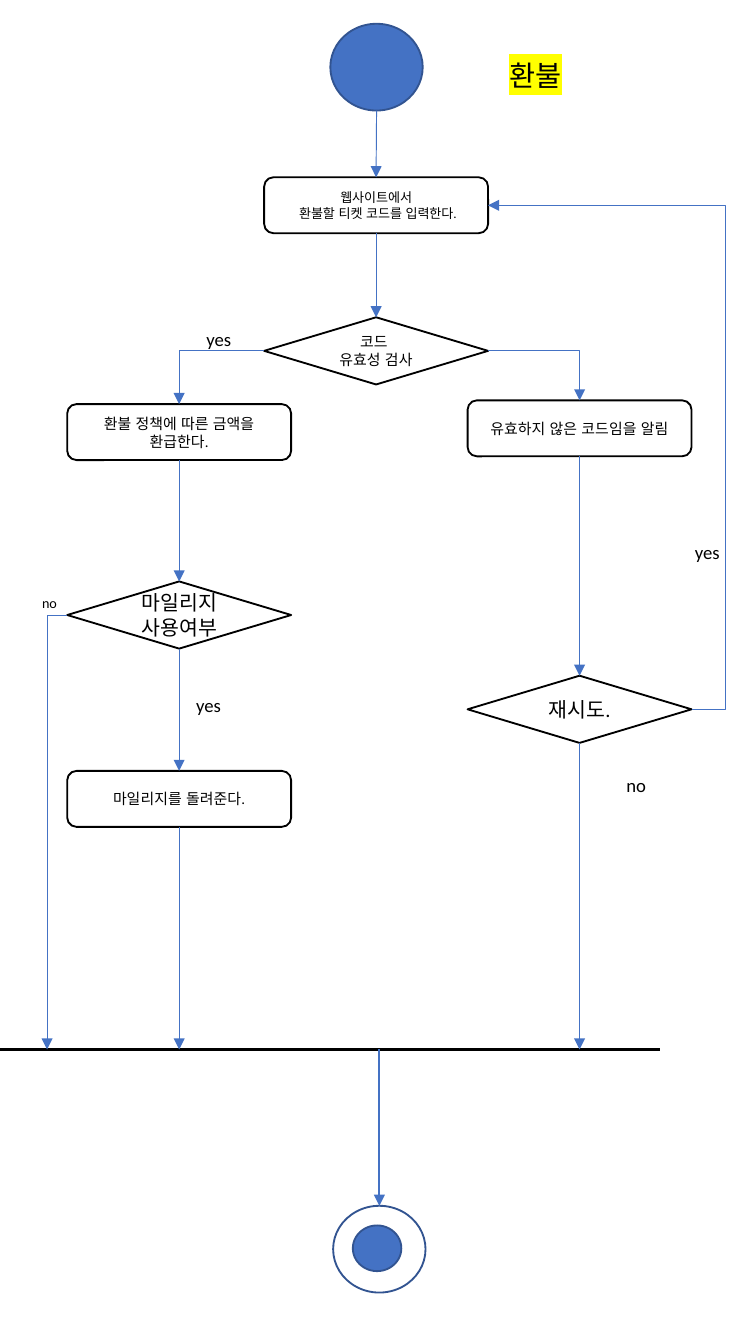
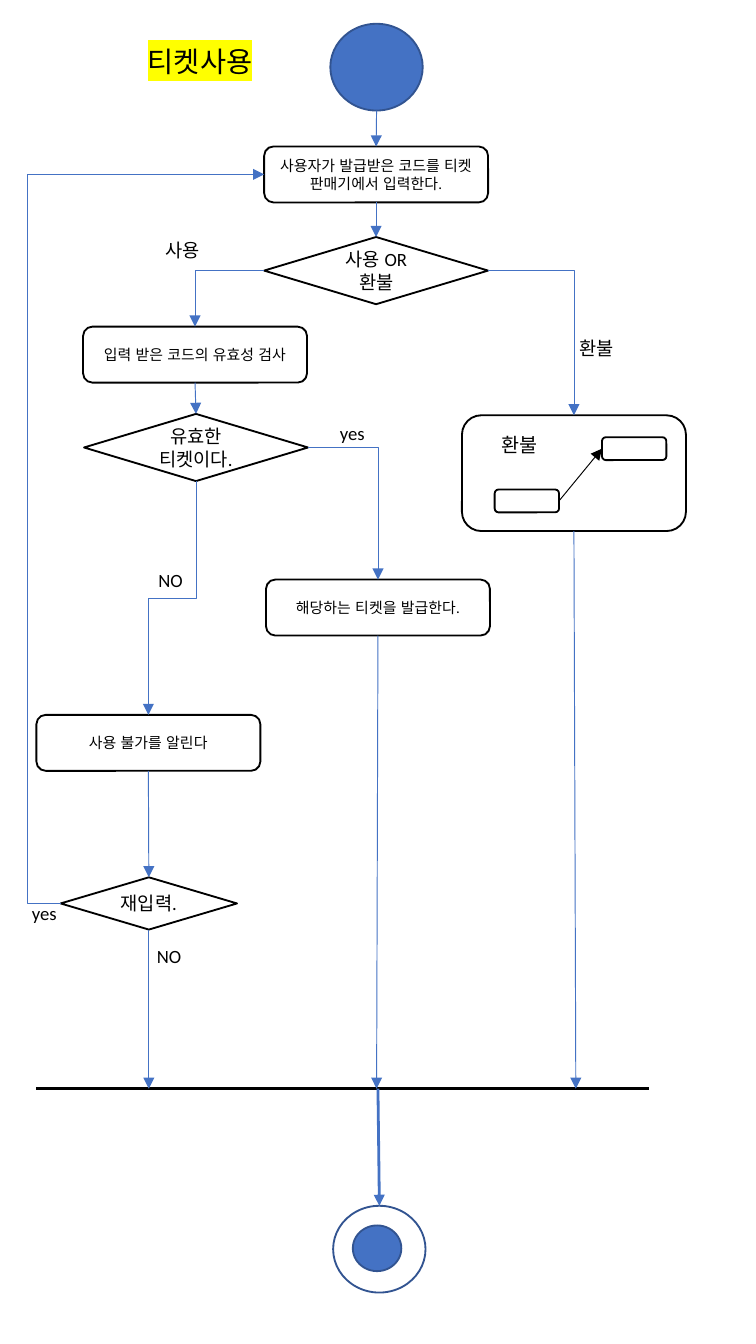
from lxml import etree
from pptx import Presentation
from pptx import util as u
from pptx.dml.color import RGBColor
from pptx.enum import lang, shapes, text
from pptx.oxml.ns import qn

Pt = u.Pt
COLORS = {"blue": "4472C4", "navy": "325491", "black": "000000",
          "white": "FFFFFF", "yellow": "FFFF00"}
FONT = "Calibri"
SLIDE_SIZE = (405, 720)
SIDES = ["top", "left", "bottom", "right"]  # order of the connection sites
ELBOW_OUT = -0.165  # a loop's bend lies outside its two ends

# kind: preset shape, width, height, fill, line
KINDS = {
    "step": (shapes.MSO_SHAPE.ROUNDED_RECTANGLE, 120, 30, "white", "black"),
    "choice": (shapes.MSO_SHAPE.FLOWCHART_DECISION, 120, 36, "white", "black"),
    "small choice": (shapes.MSO_SHAPE.FLOWCHART_DECISION, 94.5, 28, "white", "black"),
    "frame": (shapes.MSO_SHAPE.ROUNDED_RECTANGLE, 120, 62, "white", "black"),
    "mini step": (shapes.MSO_SHAPE.ROUNDED_RECTANGLE, 34.5, 12.25, "white", "black"),
    "start": (shapes.MSO_SHAPE.OVAL, 49.5, 46.5, "blue", "navy"),
    "ring": (shapes.MSO_SHAPE.OVAL, 49.5, 46.5, "white", "navy"),
    "core": (shapes.MSO_SHAPE.OVAL, 26, 24.5, "blue", "navy"),
}

# name: kind, left, top, words, size
TERMINALS = {
    "start": ("start", 177, 12.75, "", 8),
    "end": ("ring", 178.5, 646, "", 8),
    "core": ("core", 189, 656.5, "", 8),
}

# Arrows are (from, to, route); an end is (node, side) or an x on the bar.
# Labels are (words, left, top, width, height, size).
FLOWS = [
    {
        "title": ("환불", 265.75, 27.5, 45.5, 26),
        "bar": (0, 353.5, 562.25),
        "nodes": {
            "enter": ("step", 141.5, 95, "웹사이트에서\n 환불할 티켓 코드를 입력한다.", 7),
            "check": ("choice", 141.5, 170, "코드 \n유효성 검사", 8),
            "invalid": ("step", 250.5, 214.5, "유효하지 않은 코드임을 알림", 8),
            "refund": ("step", 36, 216.5, "환불 정책에 따른 금액을 환급한다.", 8),
            "mileage": ("choice", 36, 311.5, "마일리지 사용여부", 11),
            "give back": ("step", 36, 413, "마일리지를 돌려준다.", 8),
            "retry": ("choice", 250.5, 362, "재시도.", 11),
        },
        "arrows": [
            (("start", "bottom"), ("enter", "top"), "straight"),
            (("enter", "bottom"), ("check", "top"), "straight"),
            (("check", "left"), ("refund", "top"), "corner"),
            (("check", "right"), ("invalid", "top"), "corner"),
            (("refund", "bottom"), ("mileage", "top"), "straight"),
            (("mileage", "bottom"), ("give back", "top"), "straight"),
            (("mileage", "left"), 25.25, "corner"),
            (("give back", "bottom"), 96, "straight"),
            (("invalid", "bottom"), ("retry", "top"), "straight"),
            (("retry", "right"), ("enter", "right"), "loop"),
            (("retry", "bottom"), 310.5, "straight"),
        ],
        "exit": (203.25, 1),
        "labels": [
            ("yes", 103.5, 172.25, 28, 19.5, 10),
            ("no", 328.5, 411, 25, 19.5, 10),
            (" no", 13.75, 314.75, 26, 16.5, 7.6),
            ("yes", 365.25, 286, 28, 19.5, 10),
            ("yes", 98, 368, 28, 19.5, 10),
        ],
    },
    {
        "title": ("티켓사용", 72, 20, 76, 26),
        "bar": (19.5, 347.75, 583.25),
        "nodes": {
            "enter": ("step", 141.5, 78.5, "사용자가 발급받은 코드를 티켓 판매기에서 입력한다.", 8),
            "purpose": ("choice", 141.5, 127, "사용 OR 환불", 10),
            "check": ("step", 44.5, 175, "입력 받은 코드의 유효성 검사", 8),
            "valid": ("choice", 45, 221.75, "유효한 티켓이다.", 10),
            "issue": ("step", 142.5, 310.5, "해당하는 티켓을 발급한다.", 8),
            "refuse": ("step", 19.5, 383, "사용 불가를 알린다", 8),
            "retry": ("small choice", 32.5, 470, "재입력.", 10),
        },
        "subflow": {
            "nodes": {
                "refund": ("frame", 247.5, 222.5, "", 8),
                "last": ("mini step", 322.5, 234.25, "", 8),
                "first": ("mini step", 265, 262.25, "", 8),
            },
            "arrow": (("first", "right"), ("last", "left"), "straight"),
            "label": ("환불", 261.5, 228.25, 47, 20, 10.5),
        },
        "arrows": [
            (("start", "bottom"), ("enter", "top"), "straight"),
            (("enter", "bottom"), ("purpose", "top"), "straight"),
            (("purpose", "left"), ("check", "top"), "corner"),
            (("purpose", "right"), ("refund", "top"), "corner"),
            (("check", "bottom"), ("valid", "top"), "straight"),
            (("valid", "bottom"), ("refuse", "top"), "down"),
            (("valid", "right"), ("issue", "top"), "corner"),
            (("issue", "bottom"), 201.75, "straight"),
            (("refuse", "bottom"), ("retry", "top"), "straight"),
            (("retry", "left"), ("enter", "left"), "loop"),
            (("retry", "bottom"), 79.75, "straight"),
            (("refund", "bottom"), 308.5, "straight"),
        ],
        "exit": (202.5, 1.5),
        "labels": [
            ("yes", 175, 222.5, 28, 19.5, 10),
            ("환불", 303.25, 177, 34.5, 19.5, 10),
            ("사용", 81.5, 124.5, 34.5, 19.5, 10),
            ("NO", 77, 502.75, 28, 19.5, 10),
            ("NO", 77.75, 301, 28, 19.5, 10),
            ("yes", 10, 479.5, 28, 19.5, 10),
        ],
    },
]


def rgb(name):
    """Return the named colour."""
    return RGBColor.from_string(COLORS[name])


def apply(target, formats):
    """Set each attribute of the target from a dict."""
    for name, value in formats.items():
        setattr(target, name, value)


def write(shape, words, size, frame_format, align):
    """Fill a shape with formatted text."""
    frame = shape.text_frame
    frame.text = words
    apply(frame, frame_format)
    for paragraph in frame.paragraphs:
        paragraph.alignment = align
        for run in paragraph.runs:
            apply(run.font, {"size": Pt(size), "name": FONT,
                             "language_id": lang.MSO_LANGUAGE_ID.KOREAN})
            run.font.color.rgb = rgb("black")


def write_label(shape, words, size):
    """Write left-aligned words in a frame that grows with them."""
    write(shape, words, size,
          {"word_wrap": False, "vertical_anchor": text.MSO_ANCHOR.TOP,
           "auto_size": text.MSO_AUTO_SIZE.SHAPE_TO_FIT_TEXT},
          text.PP_ALIGN.LEFT)


def add_title(slide, words, *box):
    """Place the highlighted title."""
    title = slide.shapes.title
    apply(title, dict(zip(("left", "top", "width", "height"), map(Pt, box))))
    write_label(title, words, 15.2)
    fill = title.text_frame.paragraphs[0].runs[0].font.fill
    fill.solid()
    fill.fore_color.rgb = rgb("black")
    solid = title._element.find(".//" + qn("a:rPr")).find(qn("a:solidFill"))
    highlight = etree.Element(qn("a:highlight"))
    etree.SubElement(highlight, qn("a:srgbClr")).set("val", COLORS["yellow"])
    solid.addnext(highlight)


def add_label(parent, words, left, top, width, height, size):
    """Add a free label."""
    box = parent.add_textbox(*map(Pt, (left, top, width, height)))
    write_label(box, words, size)


def add_node(parent, kind, left, top, words, size):
    """Add one node of the flow and return it."""
    preset, width, height, fill, line = KINDS[kind]
    node = parent.add_shape(preset, *map(Pt, (left, top, width, height)))
    node.shadow.inherit = False
    node.fill.solid()
    node.fill.fore_color.rgb = rgb(fill)
    node.line.color.rgb = rgb(line)
    node.line.width = Pt(1)
    if words:
        write(node, words, size,
              {"word_wrap": True, "vertical_anchor": text.MSO_ANCHOR.MIDDLE},
              text.PP_ALIGN.CENTER)
    return node


def add_line(parent, start, end, color, width, elbow=False, arrow=True):
    """Add a connector between two points given in EMU."""
    kind = shapes.MSO_CONNECTOR.ELBOW if elbow else shapes.MSO_CONNECTOR.STRAIGHT
    line = parent.add_connector(kind, *start, *end)
    line.line.color.rgb = rgb(color)
    line.line.width = Pt(width)
    props = line._element.spPr
    if arrow:
        etree.SubElement(props.find(qn("a:ln")), qn("a:tailEnd")).set("type", "triangle")
    etree.SubElement(props, qn("a:effectLst"))
    return line


def locate(end, nodes, bar_y):
    """Return the point of an arrow's end."""
    if not isinstance(end, tuple):
        return Pt(end), Pt(bar_y)
    node, side = nodes[end[0]], end[1]
    across = {"left": 0, "right": node.width}.get(side, node.width // 2)
    down = {"top": 0, "bottom": node.height}.get(side, node.height // 2)
    return node.left + across, node.top + down


def bend(line, route, start, end):
    """Give an elbow connector its route."""
    props = line._element.spPr
    geometry = props.find(qn("a:prstGeom"))
    if route == "corner":
        geometry.set("prst", "bentConnector2")
    elif route == "loop":
        guide = etree.SubElement(geometry.find(qn("a:avLst")), qn("a:gd"))
        guide.set("name", "adj1")
        guide.set("fmla", f"val {round(ELBOW_OUT * 100000)}")
    elif route == "down":  # a quarter turn makes the first leg run downwards
        length, drift = end[1] - start[1], start[0] - end[0]
        apply(line, {"left": (start[0] + end[0] - length) // 2,
                     "top": (start[1] + end[1] - drift) // 2,
                     "width": length, "height": drift})
        frame = props.find(qn("a:xfrm"))
        frame.attrib.pop("flipH", None)
        frame.set("rot", "5400000")


def add_arrow(parent, nodes, bar_y, start, end, route, color="blue", width=0.5):
    """Add an arrow and attach it to its nodes."""
    points = [locate(each, nodes, bar_y) for each in (start, end)]
    line = add_line(parent, *points, color, width, elbow=route != "straight")
    if isinstance(start, tuple):
        site = SIDES.index(start[1])
        line.begin_connect(nodes[start[0]], site)
        if start[0] == "start":  # an ellipse has eight sites
            line._element.nvCxnSpPr.cNvCxnSpPr.stCxn.set("idx", str(2 * site))
    if isinstance(end, tuple):
        line.end_connect(nodes[end[0]], SIDES.index(end[1]))
    bend(line, route, *points)


def build_flow(deck, flow):
    """Build one slide with its flow chart."""
    slide = deck.slides.add_slide(deck.slide_layouts[5])
    parent = slide.shapes
    add_title(slide, *flow["title"])
    nodes = {name: add_node(parent, *node)
             for name, node in {**TERMINALS, **flow["nodes"]}.items()}
    left, right, bar_y = flow["bar"]
    if "subflow" in flow:
        subflow, group = flow["subflow"], parent.add_group_shape().shapes
        for name, node in subflow["nodes"].items():
            nodes[name] = add_node(group, *node)
        add_arrow(group, nodes, bar_y, *subflow["arrow"], color="black")
        add_label(group, *subflow["label"])
    add_line(parent, (Pt(left), Pt(bar_y)), (Pt(right), Pt(bar_y)),
             "black", 1.5, arrow=False)
    for arrow in flow["arrows"]:
        add_arrow(parent, nodes, bar_y, *arrow)
    exit_x, exit_width = flow["exit"]
    add_arrow(parent, nodes, bar_y, exit_x, ("end", "top"), "straight", width=exit_width)
    for label in flow["labels"]:
        add_label(parent, *label)


deck = Presentation()
deck.slide_width, deck.slide_height = map(Pt, SLIDE_SIZE)
for flow in FLOWS:
    build_flow(deck, flow)
deck.save("out.pptx")
